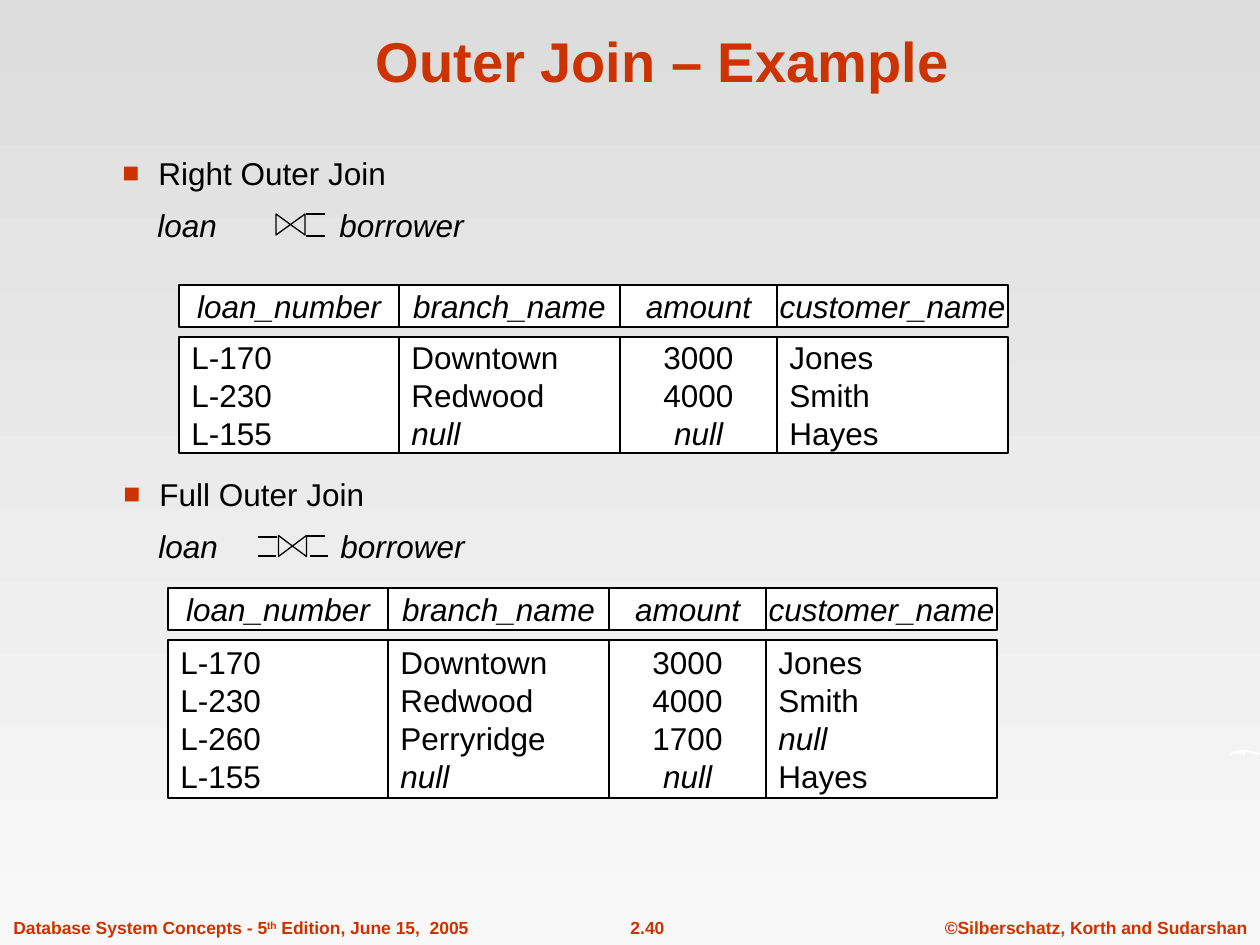
from lxml import etree
from pptx import Presentation
from pptx.dml.color import RGBColor
from pptx.enum.shapes import MSO_CONNECTOR, MSO_SHAPE
from pptx.enum.text import MSO_ANCHOR, PP_ALIGN
from pptx.oxml.ns import qn
from pptx.util import Emu, Pt

RECTANGLE = MSO_SHAPE.RECTANGLE
COLLATE = MSO_SHAPE.FLOWCHART_COLLATE
STRAIGHT = MSO_CONNECTOR.STRAIGHT
LEFT, CENTER = PP_ALIGN.LEFT, PP_ALIGN.CENTER
MIDDLE, BOTTOM = MSO_ANCHOR.MIDDLE, MSO_ANCHOR.BOTTOM

RED = RGBColor(0xCC, 0x33, 0x00)
BLACK = RGBColor(0x00, 0x00, 0x00)
WHITE = RGBColor(0xFF, 0xFF, 0xFF)
GREY_TOP = RGBColor(0xDD, 0xDD, 0xDD)
GREY_BOTTOM = RGBColor(0xF8, 0xF8, 0xF8)

FONT = "Arial"
EMU_PER_INCH = 914400
PX_PER_INCH = 126
COLUMN_EDGES = (0, 220, 441, 598, 829)
COLUMNS = ("loan_number", "branch_name", "amount", "customer_name")
HEADER_HEIGHT = 42
BODY_OFFSET = 52
NAME_STOP, OPERAND_STOP = 35, 217

RIGHT_JOIN_ROWS = (
    ("L-170", "Downtown", "3000", "Jones"),
    ("L-230", "Redwood", "4000", "Smith"),
    ("L-155", "null", "null", "Hayes"),
)
FULL_JOIN_ROWS = (
    ("L-170", "Downtown", "3000", "Jones"),
    ("L-230", "Redwood", "4000", "Smith"),
    ("L-260", "Perryridge", "1700", "null"),
    ("L-155", "null", "null", "Hayes"),
)
SWOOSH = (
    (1229, 757), (1231, 753), (1235, 751), (1241, 750), (1247, 750),
    (1254, 752), (1260, 753), (1258, 755), (1251, 753), (1245, 752),
    (1245, 756), (1241, 752), (1241, 756), (1237, 752), (1238, 756),
    (1235, 753), (1231, 755),
)


def px(length):
    return Emu(round(length * EMU_PER_INCH / PX_PER_INCH))


def box(*lengths):
    return [px(length) for length in lengths]


def format_runs(paragraph, size, color, bold=False, italic=False):
    for run in paragraph.runs:
        run.font.name = FONT
        run.font.size = Pt(size)
        run.font.color.rgb = color
        run.font.bold = bold
        run.font.italic = italic


def set_background(slide):
    fill = slide.background.fill
    fill.gradient()
    fill.gradient_angle = 270
    for stop, color in zip(fill.gradient_stops, (GREY_TOP, GREY_BOTTOM)):
        stop.color.rgb = color


def add_footer(slide, bounds, parts, align):
    frame = slide.shapes.add_textbox(*box(*bounds)).text_frame
    frame.word_wrap = False
    line = frame.paragraphs[0]
    line.alignment = align
    line.space_before = Pt(6.2)
    for part in parts:
        line.add_run().text = part
    format_runs(line, 10, RED, bold=True)
    return line


def add_title(slide, title):
    frame = slide.shapes.add_textbox(*box(106, 16, 1113, 84)).text_frame
    frame.word_wrap = True
    frame.vertical_anchor = BOTTOM
    frame.text = title
    frame.paragraphs[0].alignment = CENTER
    format_runs(frame.paragraphs[0], 32, RED, bold=True)


def add_swoosh(slide):
    builder = slide.shapes.build_freeform(*SWOOSH[0], scale=EMU_PER_INCH / PX_PER_INCH)
    builder.add_line_segments(SWOOSH[1:], close=True)
    swoosh = builder.convert_to_shape()
    swoosh.shadow.inherit = False
    swoosh.fill.solid()
    swoosh.fill.fore_color.rgb = WHITE
    swoosh.line.fill.background()


def add_cell(group, bounds, lines, align, heading=False):
    cell = group.shapes.add_shape(RECTANGLE, *box(*bounds))
    cell.shadow.inherit = False
    cell.fill.solid()
    cell.fill.fore_color.rgb = WHITE
    cell.line.color.rgb = BLACK
    cell.line.width = Pt(0.75)
    frame = cell.text_frame
    frame.word_wrap = False
    frame.vertical_anchor = MIDDLE
    frame.text = "\n".join(lines)
    for paragraph in frame.paragraphs:
        paragraph.alignment = align
        format_runs(paragraph, 18, BLACK, italic=heading or paragraph.text == "null")


def add_relation(slide, left, top, rows):
    group = slide.shapes.add_group_shape()
    body_height = HEADER_HEIGHT * len(rows) - 10
    for index, (heading, values) in enumerate(zip(COLUMNS, zip(*rows))):
        start, end = COLUMN_EDGES[index:index + 2]
        x, width = left + start, end - start
        add_cell(group, (x, top, width, HEADER_HEIGHT), [heading], CENTER, heading=True)
        align = CENTER if heading == "amount" else LEFT
        add_cell(group, (x, top + BODY_OFFSET, width, body_height), values, align)


def set_bullet(paragraph, hang):
    properties = paragraph._p.get_or_add_pPr()
    properties.set("marL", str(px(hang)))
    properties.set("indent", str(-px(hang)))
    color = etree.SubElement(properties, qn("a:buClr"))
    etree.SubElement(color, qn("a:srgbClr"), val=str(RED))
    etree.SubElement(properties, qn("a:buSzPct"), val="90000")
    etree.SubElement(properties, qn("a:buFont"), typeface=FONT)
    etree.SubElement(properties, qn("a:buChar"), char="■")


def set_tab_stops(paragraph, stops):
    tabs = etree.SubElement(paragraph._p.get_or_add_pPr(), qn("a:tabLst"))
    for stop in stops:
        etree.SubElement(tabs, qn("a:tab"), pos=str(px(stop)), algn="l")


def add_join_bar(group, start, end, y):
    bar = group.shapes.add_connector(STRAIGHT, *box(start, y, end, y))
    bar.line.color.rgb = BLACK
    bar.line.width = Pt(0.75)
    etree.SubElement(bar._element.spPr, qn("a:effectLst"))


def add_join(slide, bounds, name, bowtie_bounds, bars):
    group = slide.shapes.add_group_shape()
    frame = group.shapes.add_textbox(*box(*bounds)).text_frame
    frame.word_wrap = True
    frame.text = f"{name}\n\tloan\tborrower"
    heading, expression = frame.paragraphs
    for paragraph in (heading, expression):
        paragraph.space_before = Pt(7.9)
    set_bullet(heading, 36)
    set_tab_stops(expression, (NAME_STOP, OPERAND_STOP))
    format_runs(heading, 18, BLACK)
    format_runs(expression, 18, BLACK, italic=True)

    bowtie = group.shapes.add_shape(COLLATE, *box(*bowtie_bounds))
    bowtie.rotation = 270
    bowtie.shadow.inherit = False
    bowtie.fill.background()
    bowtie.line.color.rgb = BLACK
    bowtie.line.width = Pt(0.75)
    for bar in bars:
        add_join_bar(group, *bar)


def main():
    presentation = Presentation()
    presentation.slide_width, presentation.slide_height = box(1260, 945)
    slide = presentation.slides.add_slide(presentation.slide_layouts[6])
    set_background(slide)

    add_footer(slide, (932, 911, 328, 34), ["©Silberschatz, Korth and Sudarshan"], CENTER)
    add_footer(slide, (586, 911, 123, 34), ["2.40"], CENTER)
    edition = add_footer(
        slide, (1, 911, 480, 34),
        ["Database System Concepts - 5", "th", " Edition, June 15,  2005"], LEFT)
    edition.runs[1].font._element.set("baseline", "30000")

    add_swoosh(slide)
    add_title(slide, "Outer Join – Example")
    add_relation(slide, 179, 285, RIGHT_JOIN_ROWS)
    add_relation(slide, 168, 588, FULL_JOIN_ROWS)
    add_join(slide, (111, 469, 740, 102), "Full Outer Join", (282, 532, 21, 28),
             ((277, 258, 537), (276, 258, 556), (328, 310, 556), (325, 306, 536)))
    add_join(slide, (110, 148, 845, 102), "Right Outer Join", (280, 210, 21, 29),
             ((325, 306, 214), (325, 306, 236)))
    presentation.save("out.pptx")


if __name__ == "__main__":
    main()
